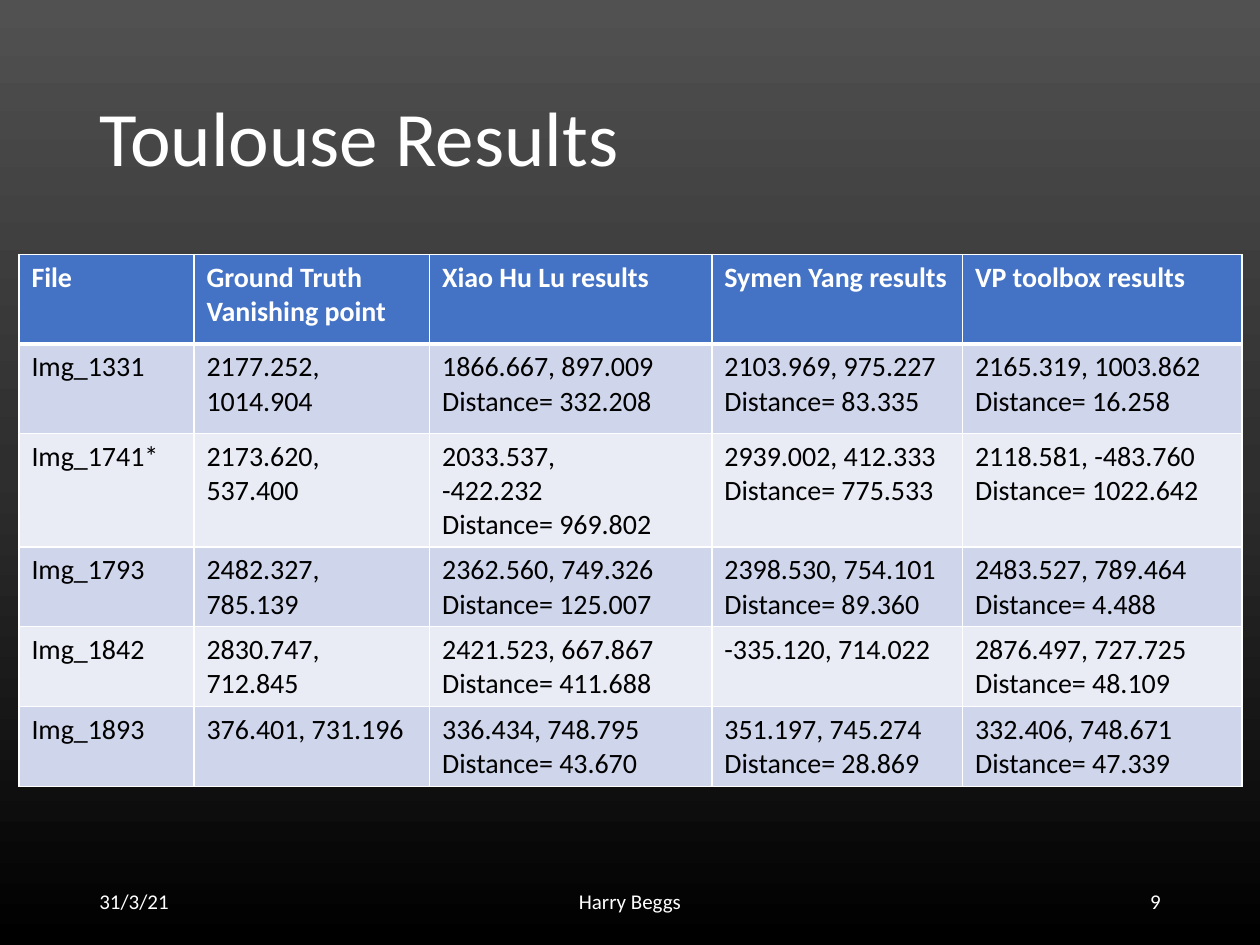
"""Build the Toulouse results slide with its table of vanishing points."""
from lxml import etree
from pptx import Presentation
from pptx.dml.color import RGBColor
from pptx.enum.text import MSO_ANCHOR, PP_ALIGN
from pptx.oxml.ns import qn
from pptx.util import Inches, Pt

LEFT, MID, RIGHT = PP_ALIGN.LEFT, PP_ALIGN.CENTER, PP_ALIGN.RIGHT
CENTER = MSO_ANCHOR.MIDDLE
FONT = "Calibri"
COLORS = {"white": "FFFFFF", "black": "000000", "head": "4472C4",
          "odd": "CFD5EA", "even": "E9EBF5"}
STOPS = [(0, "515151"), (50, "2E2E2E"), (100, "000000")]

TITLE = "Toulouse Results"
FOOT = [("31/3/21", 0.69, 2.25, LEFT),
        ("Harry Beggs", 3.31, 3.38, MID),
        ("9", 7.06, 2.25, RIGHT)]
COLS = [1.39, 1.87, 2.24, 1.99, 2.22]
ROWS = [0.71, 0.71, 0.41, 0.41, 0.41, 0.41]
CELLS = [
    ["File", "Ground Truth Vanishing point", "Xiao Hu Lu results",
     "Symen Yang results", "VP toolbox results"],
    ["Img_1331", "2177.252, 1014.904", "1866.667, 897.009\nDistance= 332.208",
     "2103.969, 975.227\nDistance= 83.335", "2165.319, 1003.862\nDistance= 16.258"],
    ["Img_1741*", "2173.620, 537.400", "2033.537,\n-422.232\nDistance= 969.802",
     "2939.002, 412.333\nDistance= 775.533", "2118.581, -483.760\nDistance= 1022.642"],
    ["Img_1793", "2482.327, 785.139", "2362.560, 749.326\nDistance= 125.007",
     "2398.530, 754.101\nDistance= 89.360", "2483.527, 789.464\nDistance= 4.488"],
    ["Img_1842", "2830.747, 712.845", "2421.523, 667.867\nDistance= 411.688",
     "-335.120, 714.022", "2876.497, 727.725\nDistance= 48.109"],
    ["Img_1893", "376.401, 731.196", "336.434, 748.795\nDistance= 43.670",
     "351.197, 745.274\nDistance= 28.869", "332.406, 748.671\nDistance= 47.339"],
]


def write(frame, text, size=16, color="white", bold=False, align=LEFT, space=None):
    frame.word_wrap = True
    frame.text = text
    for para in frame.paragraphs:
        para.alignment = align
        para.line_spacing = space
        for run in para.runs:
            font = run.font
            font.name, font.size, font.bold = FONT, Pt(size), bold
            font.color.rgb = RGBColor.from_string(COLORS[color])


def add_box(slide, text, x, y, w, h, **style):
    box = slide.shapes.add_textbox(Inches(x), Inches(y), Inches(w), Inches(h))
    box.text_frame.vertical_anchor = CENTER
    write(box.text_frame, text, **style)


def add_fill(node, color):
    fill = etree.SubElement(node, qn("a:solidFill"))
    etree.SubElement(fill, qn("a:srgbClr"), val=color)


def shade(slide):
    fill = slide.background.fill
    fill.gradient()
    fill.gradient_angle = 270
    stops = next(slide.element.iter(qn("a:gsLst")))
    for stop in list(stops):
        stops.remove(stop)
    for pos, color in STOPS:
        stop = etree.SubElement(stops, qn("a:gs"), pos=str(pos * 1000))
        etree.SubElement(stop, qn("a:srgbClr"), val=color)


def edge(cell, row):
    props = cell._tc.get_or_add_tcPr()
    widths = {"L": 1, "R": 1, "T": 3 if row == 1 else 1, "B": 3 if row == 0 else 1}
    for side, width in widths.items():
        line = etree.SubElement(props, qn("a:ln" + side), w=str(Pt(width)))
        add_fill(line, COLORS["white"])


def add_grid(slide):
    frame = slide.shapes.add_table(len(ROWS), len(COLS), Inches(0.15), Inches(2.02),
                                   Inches(sum(COLS)), Inches(sum(ROWS)))
    table = frame.table
    for col, width in zip(table.columns, COLS):
        col.width = Inches(width)
    for row, height in zip(table.rows, ROWS):
        row.height = Inches(height)
    for r, texts in enumerate(CELLS):
        head = r == 0
        shade_key = "head" if head else "odd" if r % 2 else "even"
        for c, text in enumerate(texts):
            cell = table.cell(r, c)
            write(cell.text_frame, text, color="white" if head else "black", bold=head)
            edge(cell, r)
            cell.fill.solid()
            cell.fill.fore_color.rgb = RGBColor.from_string(COLORS[shade_key])


def main():
    deck = Presentation()
    deck.slide_width, deck.slide_height = Inches(10), Inches(7.5)
    slide = deck.slides.add_slide(deck.slide_layouts[6])
    shade(slide)
    add_box(slide, TITLE, 0.69, 0.4, 8.62, 1.45, size=44, space=0.9)
    for text, x, width, align in FOOT:
        add_box(slide, text, x, 6.95, width, 0.4, size=12, align=align)
    add_grid(slide)
    deck.save("out.pptx")


if __name__ == "__main__":
    main()
